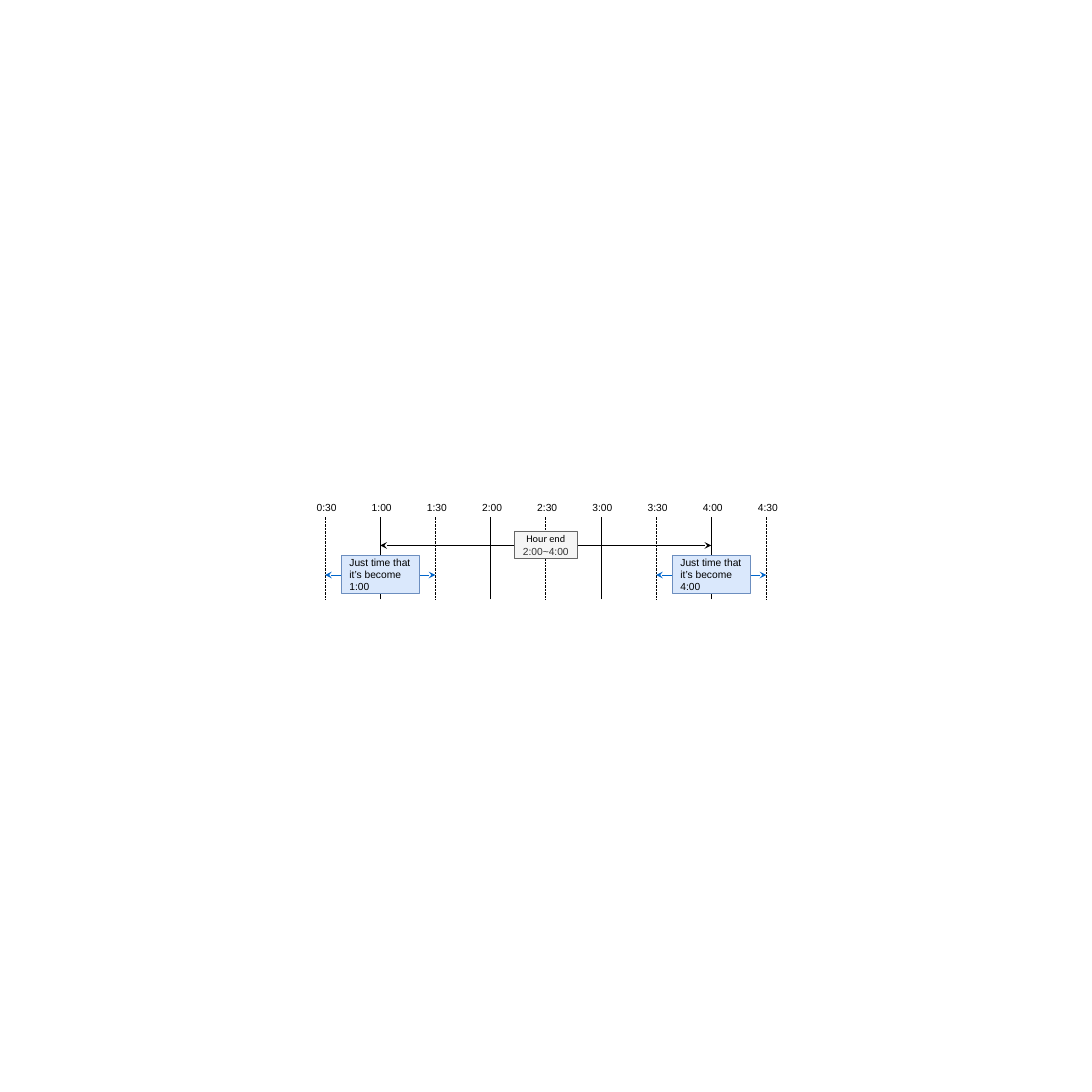
from dataclasses import dataclass

from lxml import etree
from pptx import Presentation
from pptx.dml.color import RGBColor
from pptx.enum.dml import MSO_LINE
from pptx.enum.shapes import MSO_CONNECTOR, MSO_SHAPE
from pptx.enum.text import MSO_ANCHOR, PP_ALIGN
from pptx.oxml.ns import qn
from pptx.util import Pt

STRAIGHT = MSO_CONNECTOR.STRAIGHT
RECTANGLE = MSO_SHAPE.RECTANGLE
DOTTED = MSO_LINE.ROUND_DOT
TOP, MIDDLE = MSO_ANCHOR.TOP, MSO_ANCHOR.MIDDLE
LEFT, CENTER, JUSTIFY = PP_ALIGN.LEFT, PP_ALIGN.CENTER, PP_ALIGN.JUSTIFY

PAGE_SIZE = 960
TEXT_SIZE = 9
LINE_WIDTH = 0.61
ARROW_WIDTH = 0.5
BLACK, BLUE = "000000", "0066CC"

TIMES = ["0:30", "1:00", "1:30", "2:00", "2:30", "3:00", "3:30", "4:00", "4:30"]
FIRST_TICK, TICK_STEP = 285.8, 48.5
TICK_TOP, TICK_BOTTOM = 454.3, 527
LABEL_TOP, LABEL_WIDTH, LABEL_HEIGHT = 437, 31.7, 25
LABEL_SHIFT = 1.3  # labels sit slightly right of their ticks
SPAN_Y, JUST_Y = 479.8, 505


@dataclass
class Line:
    """One paragraph of text."""
    text: str
    font: str = "Arial"
    color: str = BLACK


@dataclass
class Note:
    """A framed note centred on a point, with arrows reaching out to two times."""
    start: str
    end: str
    y: float
    width: float
    height: float
    fill: str
    outline: str
    arrow_color: str
    align: PP_ALIGN
    lines: list[Line]


def just_note(start: str, hour: str, end: str) -> Note:
    """Describe the half-hour range around a full hour."""
    return Note(start, end, JUST_Y, 68.4, 33.8, "DAE8FC", "6C8EBF", BLUE, LEFT,
                [Line(f"Just time that it’s become {hour}")])


NOTES = [
    Note("1:00", "4:00", SPAN_Y - 0.8, 55.8, 24.5, "F5F5F5", "666666", BLACK, CENTER,
         [Line("Hour end", "Calibri"), Line("2:00~4:00", color="333333")]),
    just_note("0:30", "1:00", "1:30"),
    just_note("3:30", "4:00", "4:30"),
]


def rgb(color: str) -> RGBColor:
    """Turn a hex string into a colour."""
    return RGBColor.from_string(color)


def tick_x(time: str) -> float:
    """Return the horizontal place of a time."""
    return FIRST_TICK + TICK_STEP * TIMES.index(time)


def add_line(page, x1: float, y1: float, x2: float, y2: float,
             color: str = BLACK, width: float = LINE_WIDTH,
             dotted: bool = False, arrow: bool = False) -> None:
    """Draw a straight line, dotted or with an arrowhead at its end if asked."""
    line = page.shapes.add_connector(STRAIGHT, Pt(x1), Pt(y1), Pt(x2), Pt(y2))
    line.line.color.rgb = rgb(color)
    line.line.width = Pt(width)
    if dotted:
        line.line.dash_style = DOTTED
    properties = line.element.spPr
    if arrow:
        outline = properties.find(qn("a:ln"))
        etree.SubElement(outline, qn("a:tailEnd"), type="stealth")
    etree.SubElement(properties, qn("a:effectLst"))


def write_lines(box, lines: list[Line], align: PP_ALIGN, anchor: MSO_ANCHOR,
                wrap: bool, margin_y: float) -> None:
    """Fill a box with one paragraph per line."""
    frame = box.text_frame
    frame.word_wrap = wrap
    frame.vertical_anchor = anchor
    frame.margin_left = frame.margin_right = Pt(7.2)
    frame.margin_top = frame.margin_bottom = Pt(margin_y)
    for index, line in enumerate(lines):
        para = frame.add_paragraph() if index else frame.paragraphs[0]
        para.alignment = align
        span = para.add_run()
        span.text = line.text
        span.font.name = line.font
        span.font.size = Pt(TEXT_SIZE)
        span.font.color.rgb = rgb(line.color)


def add_tick(page, time: str) -> None:
    """Draw the line and label of a time; half hours are dotted."""
    x = tick_x(time)
    add_line(page, x, TICK_BOTTOM, x, TICK_TOP, dotted=time.endswith("30"))
    label = page.shapes.add_textbox(Pt(x - LABEL_WIDTH / 2 + LABEL_SHIFT), Pt(LABEL_TOP),
                                    Pt(LABEL_WIDTH), Pt(LABEL_HEIGHT))
    write_lines(label, [Line(time)], JUSTIFY, TOP, wrap=False, margin_y=3.6)


def add_note(page, note: Note) -> None:
    """Draw a note halfway between its times, with an arrow to each of them."""
    start, end = tick_x(note.start), tick_x(note.end)
    left = (start + end - note.width) / 2
    for x1, x2 in ((left, start), (left + note.width, end)):
        width = LINE_WIDTH if note.arrow_color == BLACK else ARROW_WIDTH
        add_line(page, x1, note.y + 0.5, x2, note.y + 0.5, note.arrow_color, width, arrow=True)
    box = page.shapes.add_shape(RECTANGLE, Pt(left), Pt(note.y - note.height / 2),
                                Pt(note.width), Pt(note.height))
    box.shadow.inherit = False
    box.fill.solid()
    box.fill.fore_color.rgb = rgb(note.fill)
    box.line.color.rgb = rgb(note.outline)
    box.line.width = Pt(LINE_WIDTH)
    write_lines(box, note.lines, note.align, MIDDLE, wrap=True, margin_y=0)


def main() -> None:
    """Build the timeline and save it."""
    deck = Presentation()
    deck.slide_width = deck.slide_height = Pt(PAGE_SIZE)
    page = deck.slides.add_slide(deck.slide_layouts[6])
    for time in TIMES:
        add_tick(page, time)
    for note in NOTES:
        add_note(page, note)
    deck.save("out.pptx")


main()
